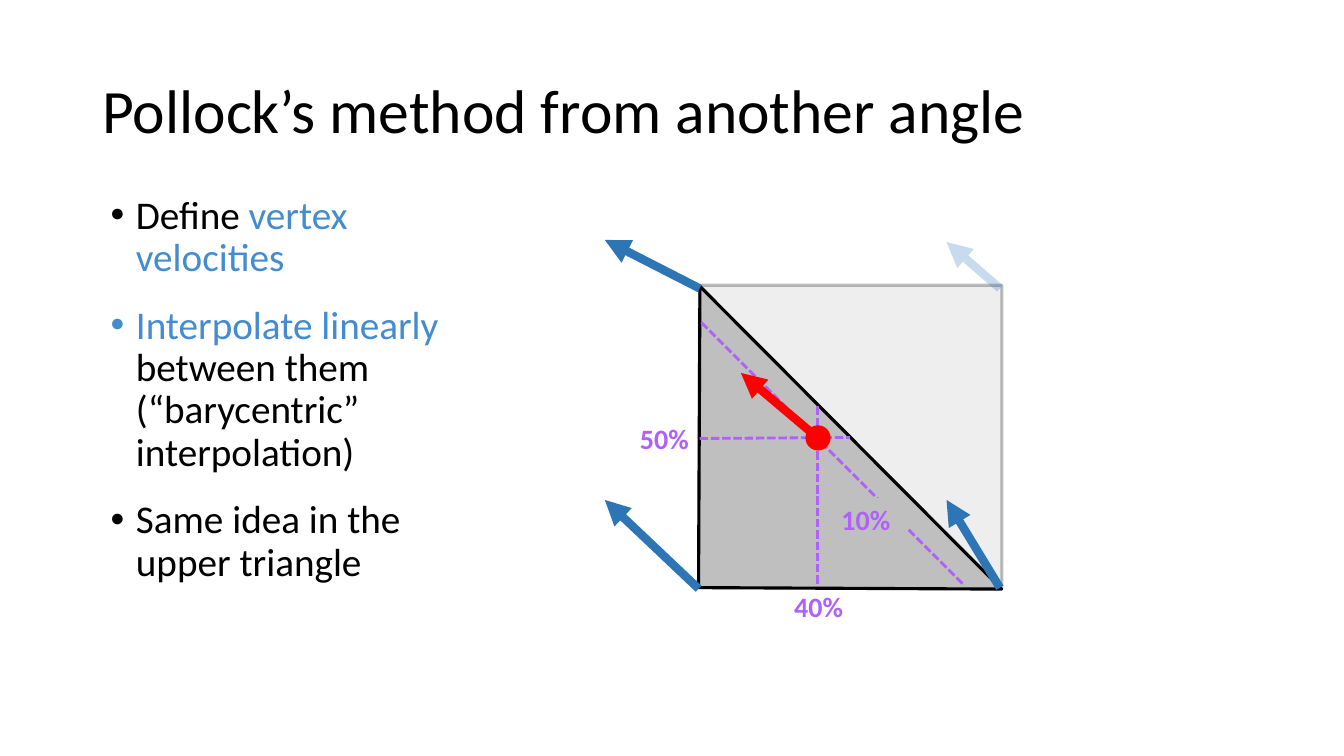
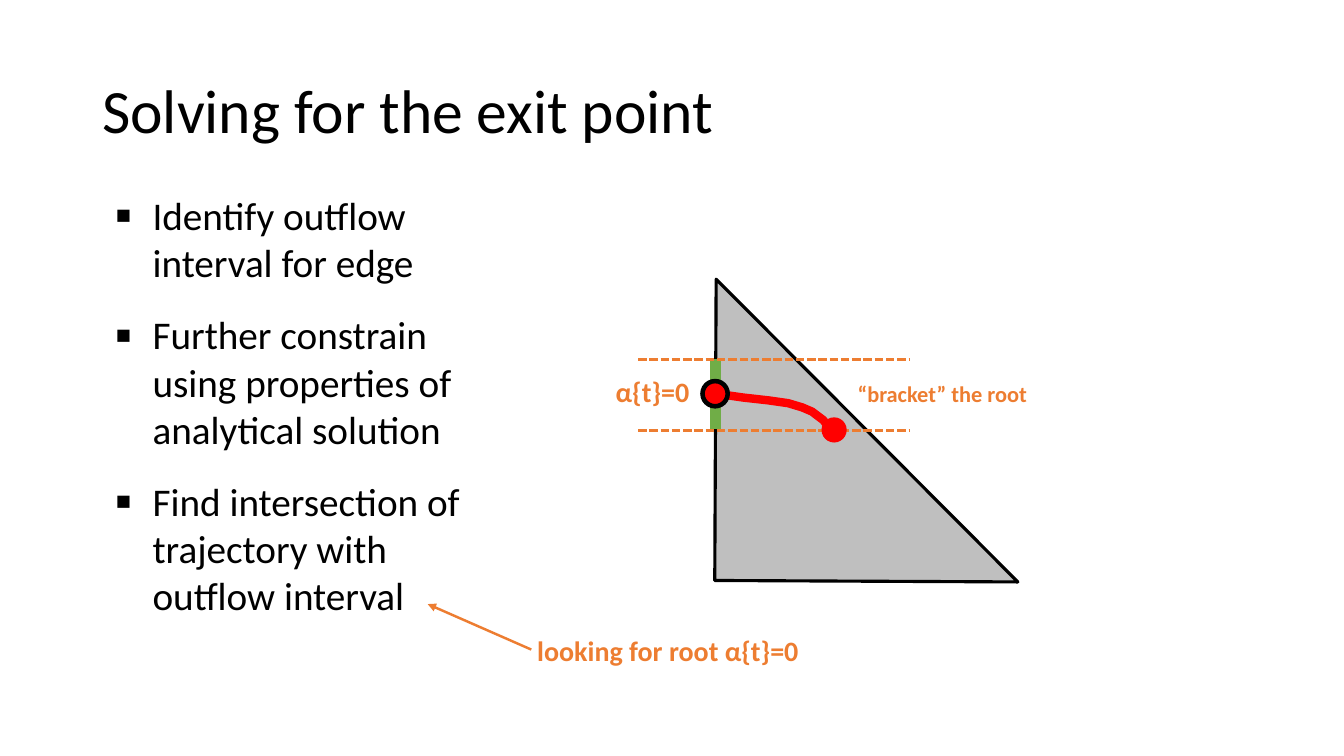
from dataclasses import dataclass

from lxml import etree
from pptx import Presentation
from pptx.dml.color import RGBColor
from pptx.enum.dml import MSO_LINE
from pptx.enum.shapes import MSO_CONNECTOR, MSO_SHAPE
from pptx.enum.text import MSO_ANCHOR, MSO_AUTO_SIZE
from pptx.oxml.ns import qn
from pptx.util import Pt

DASH = MSO_LINE.SQUARE_DOT
STRAIGHT = MSO_CONNECTOR.STRAIGHT
RECT = MSO_SHAPE.RECTANGLE
WEDGE = MSO_SHAPE.ISOSCELES_TRIANGLE
DISC = MSO_SHAPE.OVAL
TOP, MIDDLE = MSO_ANCHOR.TOP, MSO_ANCHOR.MIDDLE
GROW, FIXED = MSO_AUTO_SIZE.SHAPE_TO_FIT_TEXT, MSO_AUTO_SIZE.NONE


@dataclass(frozen=True)
class Theme:
    font: str = "Calibri"
    ink: str = "000000"
    key: str = "438CCF"
    flow: str = "2E75B6"
    gray: str = "BFBFBF"
    share: str = "AE61FB"
    path_red: str = "FF0000"
    note: str = "ED7D31"
    exit: str = "70AD47"
    title: int = 44
    body: int = 28
    label: int = 20
    small: int = 16


def paint(fill, color, fade=None):
    """Make a fill solid; fade is its opacity in percent."""
    fill.solid()
    fill.fore_color.rgb = RGBColor.from_string(color)
    if fade:
        for tint in fill._xPr.iter(qn("a:srgbClr")):
            etree.SubElement(tint, qn("a:alpha"), val=str(fade * 1000))


def add_mark(para, mark, indent, scale):
    props = para._p.get_or_add_pPr()
    props.set("marL", str(Pt(indent)))
    props.set("indent", str(-Pt(indent)))
    etree.SubElement(props, qn("a:buSzPct"), val=str(scale * 1000))
    etree.SubElement(props, qn("a:buFont"), typeface="Arial")
    etree.SubElement(props, qn("a:buChar"), char=mark)


class Deck:
    def __init__(self, theme):
        self.theme = theme
        self.file = Presentation()
        self.file.slide_width, self.file.slide_height = Pt(960), Pt(540)

    def page(self, title):
        self.slide = self.file.slides.add_slide(self.file.slide_layouts[6])
        self.text(title, (66, 28.8, 828, 104.4), size=self.theme.title,
                  anchor=MIDDLE, lead=0.9)

    def text(self, paras, at, size, color=None, bold=False, anchor=TOP,
             lead=None, gap=0, mark=None, indent=0, scale=100,
             wrap=True, auto=FIXED, fill=None):
        """Add a text box; a paragraph is a string or (string, color) runs."""
        box = self.slide.shapes.add_textbox(*map(Pt, at))
        if fill:
            paint(box.fill, fill)
        frame = box.text_frame
        frame.word_wrap, frame.auto_size = wrap, auto
        frame.vertical_anchor = anchor
        color = color or self.theme.ink
        for i, runs in enumerate([paras] if isinstance(paras, str) else paras):
            para = frame.add_paragraph() if i else frame.paragraphs[0]
            para.line_spacing = lead
            if i:
                para.space_before = Pt(gap)
            if mark:
                add_mark(para, mark, indent, scale)
            for words, tint in [(runs, color)] if isinstance(runs, str) else runs:
                run = para.add_run()
                run.text = words
                font = run.font
                font.name, font.size, font.bold = self.theme.font, Pt(size), bold
                font.color.rgb = RGBColor.from_string(tint)

    def label(self, words, at, color, size=None, **form):
        self.text(words, at, size=size or self.theme.label, color=color,
                  bold=True, auto=GROW, **form)

    def line(self, start, end, color, width, dash=None, arrow=False, fade=None):
        link = self.slide.shapes.add_connector(STRAIGHT, *map(Pt, start + end))
        link.line.width = Pt(width)
        paint(link.line.fill, color, fade)
        if dash:
            link.line.dash_style = dash
        props = link._element.spPr
        if arrow:
            etree.SubElement(props.find(qn("a:ln")), qn("a:tailEnd"), type="triangle")
        etree.SubElement(props, qn("a:effectLst"))

    def shape(self, kind, at, fill, edge=None, width=2.25, fade=None):
        item = self.slide.shapes.add_shape(kind, *map(Pt, at))
        item.shadow.inherit = False
        paint(item.fill, fill, fade)
        if edge:
            item.line.width = Pt(width)
            paint(item.line.fill, edge, fade)
        else:
            item.line.fill.background()
        return item

    def cell(self, left, top):
        """Add the lower triangle of the square grid cell."""
        item = self.shape(WEDGE, (left, top, 305.3, 152.6),
                          self.theme.gray, self.theme.ink)
        item.adjustments[0] = 0.503
        item.rotation = 225.1

    def dot(self, x, y, edge=None):
        self.shape(DISC, (x - 9, y - 9, 18, 18), self.theme.path_red, edge, 3.25)

    def curve(self, points, color, width):
        pen = self.slide.shapes.build_freeform(*points[0], scale=Pt(1))
        pen.add_line_segments(points[1:], close=False)
        item = pen.convert_to_shape()
        item.shadow.inherit = False
        item.fill.background()
        item.line.width = Pt(width)
        paint(item.line.fill, color)


def angle_page(deck):
    look = deck.theme
    deck.page("Pollock’s method from another angle")
    deck.text([[("Define ", look.ink), ("vertex velocities", look.key)],
               [("Interpolate linearly", look.key),
                (" between them (“barycentric” interpolation)", look.ink)],
               "Same idea in the upper triangle"],
              (72, 136.1, 291.6, 353.5), size=look.body, lead=0.9, gap=18,
              mark="•", indent=18)
    deck.shape(RECT, (499.7, 203.8, 216, 216), look.gray, look.ink, fade=25)
    deck.cell(401, 290.2)
    for start, end, fade in (((499, 420.5), (432, 357.1), None),
                             ((714.2, 419.8), (676.1, 357.1), None),
                             ((714.2, 206), (676.1, 172.8), 25),
                             ((499.7, 206), (432, 171.4), None)):
        deck.line(start, end, look.flow, 6, arrow=True, fade=fade)
    for start, end in (((583.9, 290.2), (583.9, 418.3)),
                       ((499.7, 313.2), (607, 312.5)),
                       ((501.1, 230.4), (689, 418.3))):
        deck.line(start, end, look.share, 2, dash=DASH)
    deck.label("40%", (560.2, 417.6, 49.7, 31.7), look.share, wrap=False)
    deck.label("50%", (450, 297.4, 49.7, 31.7), look.share, wrap=False)
    deck.label("10%", (594, 355.7, 54.7, 31.7), look.share, fill=look.gray)
    deck.line((584.6, 313.2), (529.2, 266.4), look.path_red, 6, arrow=True)
    deck.dot(584.3, 312.8)


def exit_page(deck):
    look = deck.theme
    deck.page("Solving for the exit point")
    deck.text(["Identify outflow interval for edge",
               "Further constrain using properties of analytical solution",
               "Find intersection of trajectory with outflow interval"],
              (74.9, 133.2, 291.6, 353.5), size=look.body, gap=18,
              mark="▪", indent=27, scale=125)
    deck.line((379.5, 464), (305.5, 431.5), look.note, 1.75, arrow=True)
    deck.label("looking for root α{t}=0", (376.6, 449.3, 236.9, 31.7), look.note)
    deck.cell(412.6, 285.1)
    deck.curve([(596.2, 310.3), (592.5, 304.8), (588.2, 300.2), (580.3, 293.8),
                (573.1, 290.9), (563, 288), (548.6, 285.8), (531.4, 283.7),
                (510.5, 280.8)], look.path_red, 6)
    deck.line((511.2, 256.3), (511.2, 306.7), look.exit, 8)
    for y in (307.4, 257):
        deck.line((455.8, y), (650.2, y), look.note, 2, dash=DASH)
    deck.label("α{t}=0", (432.7, 264.2, 68.4, 31.7), look.note, wrap=False)
    deck.dot(595.8, 307.1)
    deck.dot(510.8, 281.2, look.ink)
    deck.label("“bracket” the root", (605.5, 267.8, 152.6, 26.6), look.note,
               size=look.small)


def main():
    deck = Deck(Theme())
    angle_page(deck)
    exit_page(deck)
    deck.file.save("out.pptx")


if __name__ == "__main__":
    main()
